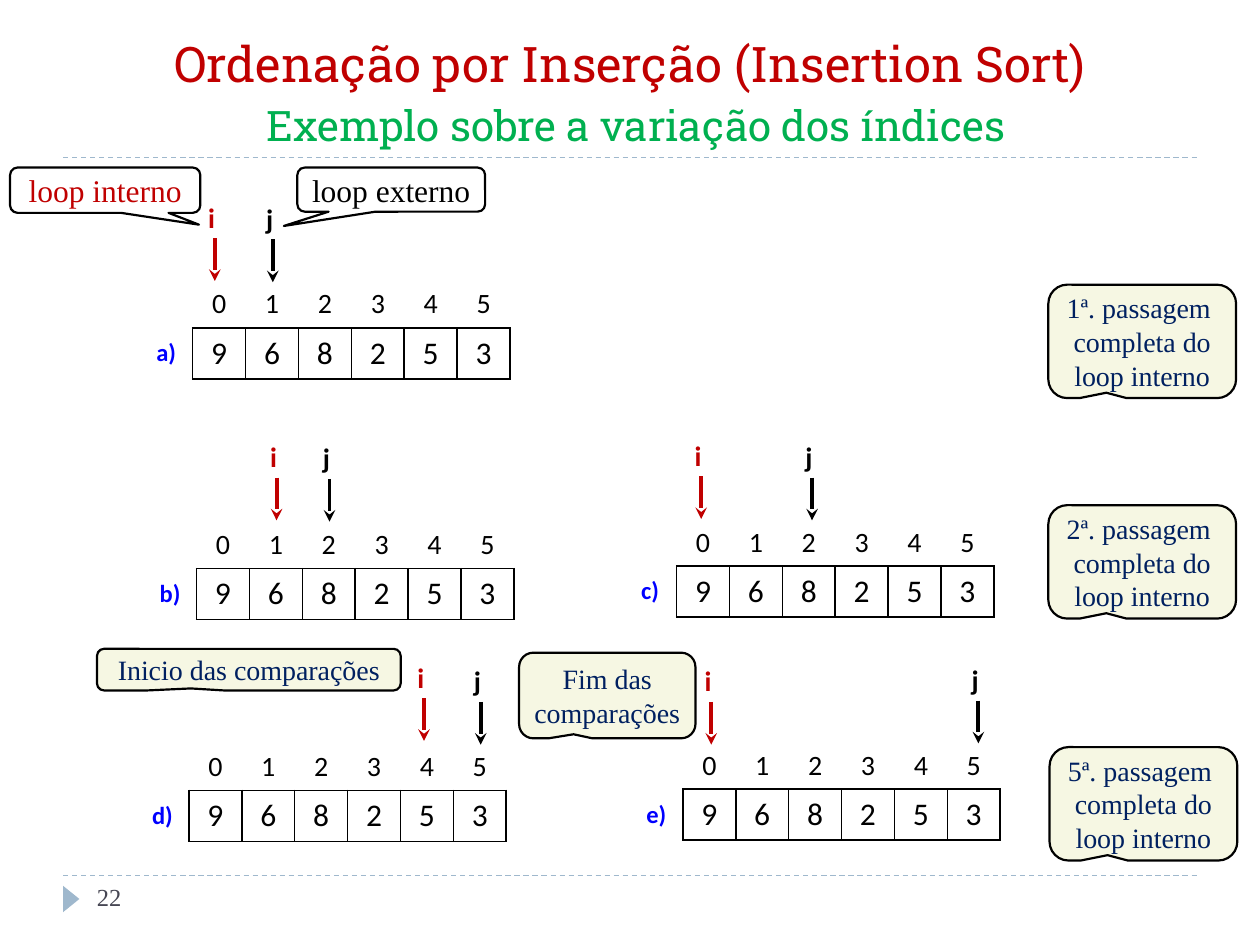
"""Build the insertion sort slide showing how the indices i and j vary."""
from lxml import etree
from pptx import Presentation, util as u
from pptx.dml.color import RGBColor
from pptx.enum import dml, shapes, text
from pptx.oxml.ns import qn

THEME = {
    "heading": {"name": "Roboto Slab", "size": 28, "color": "C00000"},
    "subheading": {"name": "Roboto Slab", "size": 24, "color": "00B050"},
    "index": {"name": "Calibri", "size": 16, "color": "000000"},
    "value": {"name": "Calibri", "size": 18, "color": "000000"},
    "step": {"name": "Calibri", "size": 14, "color": "0000FF", "bold": True},
    "i": {"name": "Calibri", "size": 16, "color": "C00000", "bold": True},
    "j": {"name": "Calibri", "size": 16, "color": "000000", "bold": True},
    "inner": {"name": "Times New Roman", "size": 18, "color": "C00000"},
    "outer": {"name": "Times New Roman", "size": 18, "color": "000000"},
    "note": {"name": "Times New Roman", "size": 16, "color": "002060"},
    "page": {"name": "Times New Roman", "size": 14, "color": "464653"},
    "rule": "9FB8CD", "ink": "000000", "paper": "FFFFFF", "cream": "F6F7E3",
}
NO_STYLE = "{2D5ABB26-0587-4C30-8999-92F81FD0307C}"

deck = Presentation()
deck.slide_width, deck.slide_height = u.Inches(10), u.Inches(7.5)
COL, ROW = deck.slide_width / 100, deck.slide_height / 75
slide = deck.slides.add_slide(deck.slide_layouts[5])


def style(font, role):
    """Give a font the values of a theme role."""
    for key, value in THEME[role].items():
        if key == "color":
            font.color.rgb = RGBColor.from_string(value)
        else:
            setattr(font, key, u.Pt(value) if key == "size" else value)


def add_grid(left, top, width, heights, rows):
    """Add a table of (text, role, bordered sides) cells."""
    count = len(rows[0])
    table = slide.shapes.add_table(
        len(rows), count, int(left * COL), int(top * ROW),
        int(width * count * COL), int(sum(heights) * ROW)).table
    table.first_row = table.horz_banding = False
    table._tbl.tblPr[0].text = NO_STYLE
    for column in table.columns:
        column.width = int(width * COL)
    for r, row in enumerate(rows):
        table.rows[r].height = int(heights[r] * ROW)
        for c, (label, role, sides) in enumerate(row):
            cell = table.cell(r, c)
            for side in sides:
                border = etree.SubElement(cell._tc.get_or_add_tcPr(), qn("a:ln" + side), w="12700")
                ink = etree.SubElement(border, qn("a:solidFill"))
                etree.SubElement(ink, qn("a:srgbClr"), val=THEME["ink"])
            cell.fill.background()
            cell.vertical_anchor = text.MSO_ANCHOR.MIDDLE if r else text.MSO_ANCHOR.TOP
            paragraph = cell.text_frame.paragraphs[0]
            paragraph.alignment = text.PP_ALIGN.CENTER
            style(paragraph.font, role)
            if label:
                run = paragraph.add_run()
                run.text = label
                style(run.font, role)


title = slide.shapes.title
for side, length in {"left": 5 * COL, "top": 2.5 * ROW, "width": 90 * COL, "height": 10 * ROW}.items():
    setattr(title, side, int(length))
for key, value in {"vertical_anchor": text.MSO_ANCHOR.BOTTOM, "word_wrap": True,
                   "auto_size": text.MSO_AUTO_SIZE.NONE}.items():
    setattr(title.text_frame, key, value)
headline = title.text_frame.paragraphs[0]
headline.alignment = text.PP_ALIGN.CENTER
for words, role in [("Ordenação por Inserção (Insertion Sort)", "heading"),
                    (" ", "heading"), ("Exemplo sobre a variação dos índices", "subheading")]:
    if words == " ":
        headline.add_line_break()
    run = headline.add_run()
    run.text = words
    style(run.font, role)

lines = [(5, y, 95, y, THEME["rule"], 0.75, False) for y in (69.5, 12.5)]

steps = [
    ("a)", 11.1, 22.3, (14.8, 15.5), (19.4, 15.6)),
    ("b)", 11.4, 41.4, (19.7, 34.5), (23.9, 34.6)),
    ("c)", 49.5, 41.2, (53.4, 34.4), (62.2, 34.5)),
    ("d)", 10.8, 59.0, (31.4, 52.0), (35.9, 52.3)),
    ("e)", 50.0, 58.9, (54.2, 52.3), (75.4, 52.2)),
]
for step, left, top, *pointers in steps:
    indices = [("", "index", "")] + [(str(n), "index", "B") for n in range(6)]
    values = [(step, "step", "R")] + [(n, "value", "LRTB") for n in "968253"]
    add_grid(left, top, 4.2, (3.7, 4.0), [indices, values])
    for name, (x, y) in zip("ij", pointers):
        add_grid(x, y, 4.5, (3.7,), [[(name + " ", name, "")]])
        lines.append((x + 2.25, y + 3.4, x + 2.25, y + 6.8, THEME[name]["color"], 2.25, True))

for x1, y1, x2, y2, color, weight, arrow in lines:
    line = slide.shapes.add_connector(
        shapes.MSO_CONNECTOR.STRAIGHT, int(x1 * COL), int(y1 * ROW), int(x2 * COL), int(y2 * ROW))
    line.line.color.rgb = RGBColor.from_string(color)
    line.line.width = u.Pt(weight)
    if arrow:
        etree.SubElement(line.line._get_or_add_ln(), qn("a:tailEnd"), type="stealth")
    else:
        line.line.dash_style = dml.MSO_LINE.DASH
    etree.SubElement(line._element.spPr, qn("a:effectLst"))

page_mark = slide.shapes.add_shape(
    shapes.MSO_SHAPE.ISOSCELES_TRIANGLE, int(4.6 * COL), int(70.7 * ROW), int(2.1 * COL), int(1.3 * ROW))
page_mark.rotation = 90
page_mark.shadow.inherit = False
page_mark.fill.solid()
page_mark.fill.fore_color.rgb = RGBColor.from_string(THEME["rule"])
page_mark.line.fill.background()

page = slide.shapes.add_textbox(int(6.7 * COL), int(69.5 * ROW), int(21.7 * COL), int(4 * ROW))
page.text_frame.word_wrap = True
page.text_frame.text = "22"
style(page.text_frame.paragraphs[0].runs[0].font, "page")

passage = "{}ª. passagem \ncompleta do\nloop interno"
note_tail = (-0.191, 0.453)
callouts = [
    ("loop externo", "outer", "paper", (23.6, 13.3, 14.9, 3.5), (-0.572, 0.824)),
    ("loop interno", "inner", "paper", (0.8, 13.3, 15.1, 3.6), (0.493, 0.761)),
    ("Inicio das comparações", "note", "cream", (7.7, 51.5, 24.1, 3.3), note_tail),
    ("Fim das comparações", "note", "cream", (41.2, 51.8, 14, 6.8), note_tail),
] + [(passage.format(n), "note", "cream", (x, y, 14.9, 9), note_tail)
     for n, x, y in [(1, 83.2, 22.6), (2, 83.2, 40.1), (5, 83.3, 59.3)]]
for words, role, fill, (x, y, w, h), tail in callouts:
    callout = slide.shapes.add_shape(
        shapes.MSO_SHAPE.ROUNDED_RECTANGULAR_CALLOUT,
        int(x * COL), int(y * ROW), int(w * COL), int(h * ROW))
    for n, value in enumerate((*tail, 0.167)):
        callout.adjustments[n] = value
    callout.shadow.inherit = False
    callout.fill.solid()
    callout.fill.fore_color.rgb = RGBColor.from_string(THEME[fill])
    callout.line.color.rgb = RGBColor.from_string(THEME["ink"])
    callout.line.width = u.Pt(1.25)
    frame = callout.text_frame
    for key, value in {"margin_left": 0, "margin_right": 0, "margin_top": 0, "margin_bottom": 0,
                       "word_wrap": True, "vertical_anchor": text.MSO_ANCHOR.MIDDLE}.items():
        setattr(frame, key, value)
    frame.text = words
    for paragraph in frame.paragraphs:
        paragraph.alignment = text.PP_ALIGN.CENTER
        style(paragraph.runs[0].font, role)

deck.save("out.pptx")
